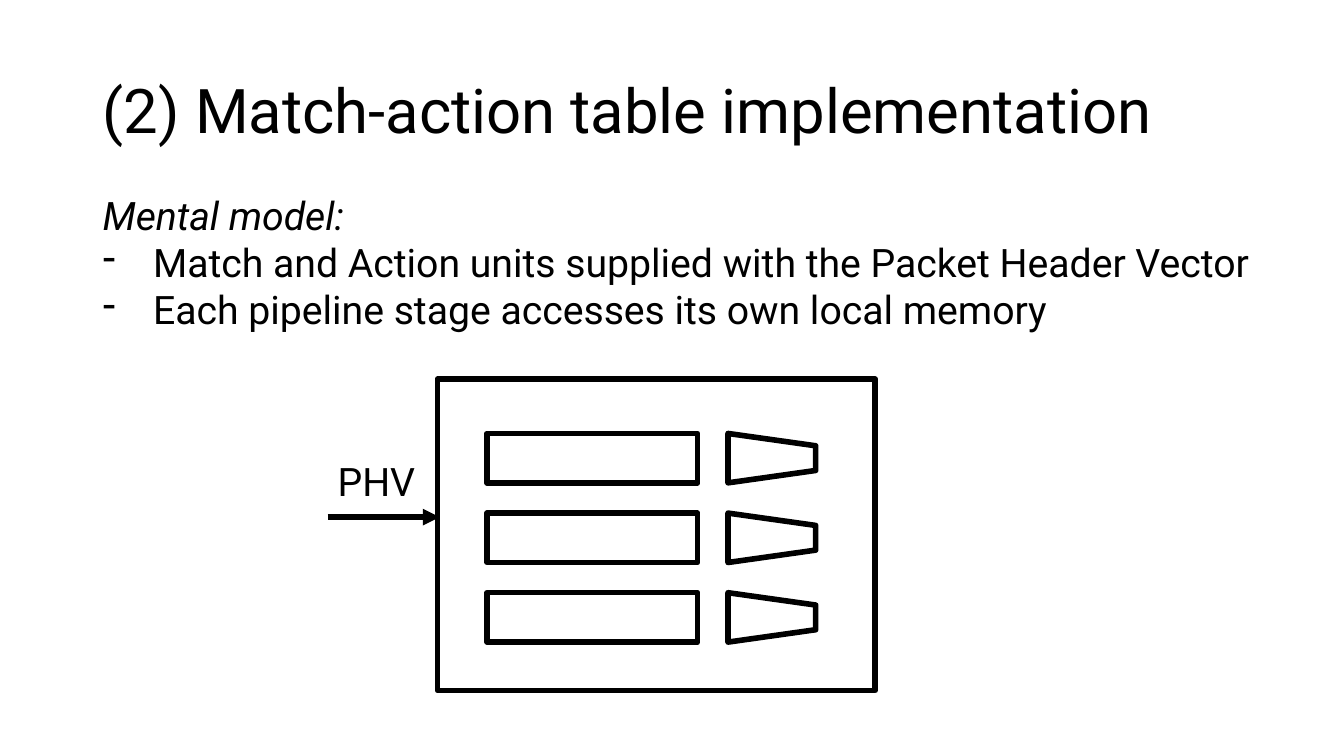
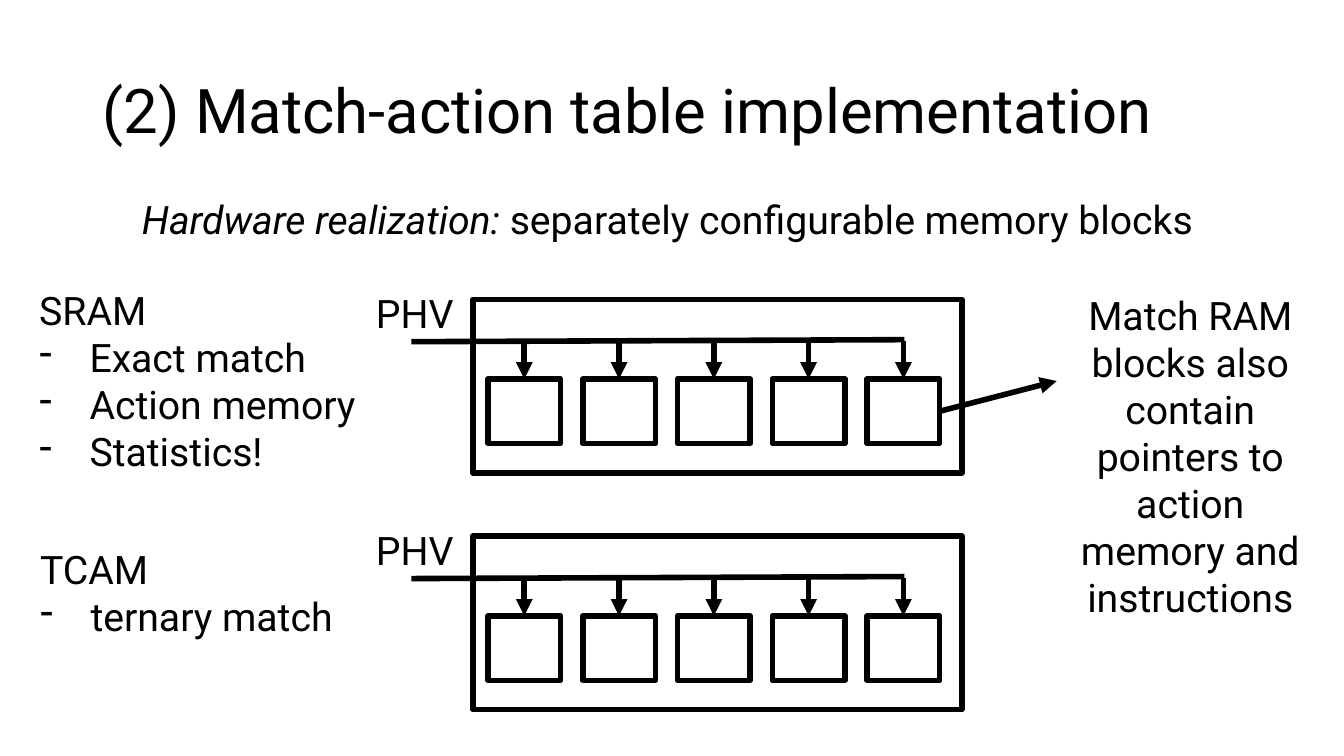
from lxml import etree
from pptx import Presentation
from pptx import util as u
from pptx.dml.color import RGBColor
from pptx.enum import shapes as kinds, text
from pptx.oxml.ns import qn

COLORS = {"ink": "000000", "paper": "FFFFFF"}
FONT = "Roboto"
LINE_WIDTH = 4
TITLE = "(2) Match-action table implementation"


def color(name):
    return RGBColor.from_string(COLORS[name])


def add_dash(paragraph):
    properties = paragraph._p.get_or_add_pPr()
    properties.set("marL", str(u.Inches(0.5)))
    properties.set("indent", str(u.Inches(-0.5)))
    etree.SubElement(properties, qn("a:buChar")).set("char", "-")


def add_text(container, place, *plain, bullets=(), italic="", size=28,
             align=text.PP_ALIGN.LEFT, anchor=text.MSO_ANCHOR.TOP,
             spacing=1.0, fit=True):
    box = container.shapes.add_textbox(*map(u.Inches, place))
    frame = box.text_frame
    frame.word_wrap = True
    frame.vertical_anchor = anchor
    frame.auto_size = (text.MSO_AUTO_SIZE.SHAPE_TO_FIT_TEXT if fit
                       else text.MSO_AUTO_SIZE.NONE)
    for index, wording in enumerate((*plain, *bullets)):
        paragraph = frame.paragraphs[0] if index == 0 else frame.add_paragraph()
        paragraph.alignment = align
        paragraph.line_spacing = spacing
        if index >= len(plain):
            add_dash(paragraph)
        lead = italic if wording.startswith(italic) else ""
        for part, slanted in ((lead, True), (wording[len(lead):], False)):
            if part:
                run = paragraph.add_run()
                run.text = part
                run.font.name = FONT
                run.font.size = u.Pt(size)
                run.font.italic = slanted
                run.font.color.rgb = color("ink")
    return box


def add_outline(container, place, kind=kinds.MSO_SHAPE.RECTANGLE, rotation=0):
    shape = container.shapes.add_shape(kind, *map(u.Inches, place))
    shape.shadow.inherit = False
    shape.rotation = rotation
    shape.fill.background()
    shape.line.color.rgb = color("ink")
    shape.line.width = u.Pt(LINE_WIDTH)
    return shape


def add_line(container, start, end, arrow=False):
    connector = container.shapes.add_connector(
        kinds.MSO_CONNECTOR.STRAIGHT, *map(u.Inches, (*start, *end)))
    connector.line.color.rgb = color("ink")
    connector.line.width = u.Pt(LINE_WIDTH)
    if arrow:
        outline = connector.line._get_or_add_ln()
        etree.SubElement(outline, qn("a:tailEnd")).set("type", "triangle")
    etree.SubElement(connector._element.spPr, qn("a:effectLst"))
    return connector


def add_phv_label(container, left, top):
    add_text(container, (left, top, 1.21, 0.57), "PHV")


def add_titled_slide(presentation):
    slide = presentation.slides.add_slide(presentation.slide_layouts[6])
    slide.background.fill.solid()
    slide.background.fill.fore_color.rgb = color("paper")
    add_text(slide, (0.92, 0.4, 11.5, 1.45), TITLE, size=44, spacing=0.9,
             anchor=text.MSO_ANCHOR.MIDDLE, fit=False)
    return slide


def add_pipeline_stage(slide):
    group = slide.shapes.add_group_shape()
    for row in range(3):
        top = 4.3 + 0.79 * row
        add_outline(group, (4.83, top, 2.09, 0.49))
        add_outline(group, (7.41, top - 0.19, 0.49, 0.87),
                    kinds.MSO_SHAPE.TRAPEZOID, rotation=90)
    add_outline(group, (4.34, 3.76, 4.34, 3.09))


def add_memory_bank(slide, top):
    group = slide.shapes.add_group_shape()
    add_phv_label(group, 3.63, top - 0.15)
    add_outline(group, (4.69, top, 4.85, 1.72))
    add_line(group, (4.08, top + 0.42), (8.97, top + 0.4))
    for column in range(5):
        left = 4.84 + 0.94 * column
        block = add_outline(group, (left, top + 0.79, 0.72, 0.64))
        center = left + 0.36
        feed = add_line(group, (center, top + 0.41), (center, top + 0.79),
                        arrow=True)
        feed.end_connect(block, 0)
    return block


def build_mental_model(presentation):
    slide = add_titled_slide(presentation)
    add_pipeline_stage(slide)
    add_text(slide, (0.92, 1.85, 11.67, 1.51), "Mental model:",
             italic="Mental model:",
             bullets=("Match and Action units supplied with the Packet Header Vector",
                      "Each pipeline stage accesses its own local memory"))
    add_line(slide, (3.25, 5.13), (4.36, 5.13), arrow=True)
    add_phv_label(slide, 3.25, 4.49)


def build_hardware(presentation):
    slide = add_titled_slide(presentation)
    add_text(slide, (1.31, 1.89, 11.09, 0.57),
             "Hardware realization: separately configurable memory blocks",
             italic="Hardware realization:")
    add_text(slide, (0.29, 2.79, 3.64, 1.99), "SRAM",
             bullets=("Exact match", "Action memory", "Statistics!"))
    add_text(slide, (0.3, 5.36, 3.46, 1.04), "TCAM", bullets=("ternary match",))
    match_block = add_memory_bank(slide, 2.97)
    add_memory_bank(slide, 5.32)
    pointer = add_line(slide, (9.32, 4.08), (10.48, 3.78), arrow=True)
    pointer.begin_connect(match_block, 3)
    add_text(slide, (10.48, 2.84, 2.65, 3.4), "Match RAM blocks also contain",
             "pointers to action memory and instructions",
             align=text.PP_ALIGN.CENTER)


def main():
    presentation = Presentation()
    presentation.slide_width = u.Inches(13.33)
    presentation.slide_height = u.Inches(7.5)
    build_mental_model(presentation)
    build_hardware(presentation)
    presentation.save("out.pptx")


if __name__ == "__main__":
    main()
